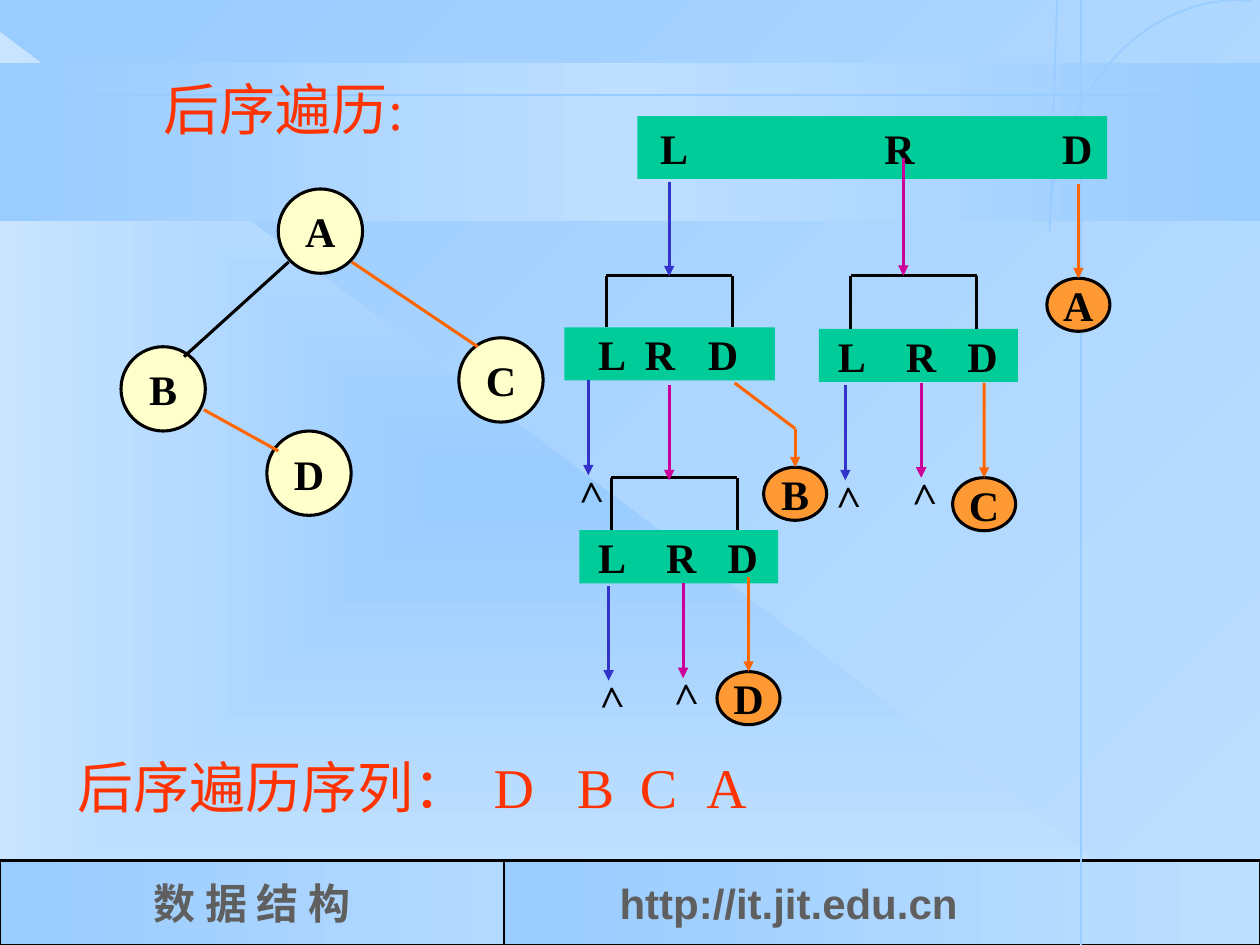
from pptx import Presentation
from pptx.dml.color import RGBColor
from pptx.enum.shapes import MSO_CONNECTOR, MSO_SHAPE
from pptx.enum.text import MSO_ANCHOR, PP_ALIGN
from pptx.oxml import parse_xml
from pptx.oxml.ns import nsdecls, qn
from pptx.util import Cm, Pt

BLACK = RGBColor(0x00, 0x00, 0x00)
GREY = RGBColor(0x5F, 0x5F, 0x5F)
SKY = RGBColor(0x99, 0xCC, 0xFF)
PALE = RGBColor(0xBE, 0xDF, 0xFF)
MIST = RGBColor(0xC8, 0xE4, 0xFF)
HAZE = RGBColor(0xB4, 0xD9, 0xFF)
CREAM = RGBColor(0xFF, 0xFF, 0xCC)
GREEN = RGBColor(0x00, 0xCC, 0x99)
AMBER = RGBColor(0xFF, 0x99, 0x33)
ORANGE = RGBColor(0xFF, 0x66, 0x00)
BLUE = RGBColor(0x33, 0x33, 0xCC)
PINK = RGBColor(0xCC, 0x00, 0x99)
RED = RGBColor(0xFF, 0x33, 0x00)

LABEL = {"name": "Times New Roman", "size": Pt(24), "bold": True}
HEAD = {"name": "Times New Roman", "size": Pt(32), "bold": False}
LINK = {"name": "Arial", "size": Pt(24), "bold": True}
LINEAR = '<a:lin {} ang="{}" scaled="0"/>'
CENTRED = ('<a:path {} path="rect"><a:fillToRect l="50000" t="50000" '
           'r="50000" b="50000"/></a:path>')


def curve(a, b, c, d, steps=24):
    for i in range(steps + 1):
        t = i / steps
        s = 1 - t
        yield tuple(s**3 * p + 3 * s * s * t * q + 3 * s * t * t * r + t**3 * u
                    for p, q, r, u in zip(a, b, c, d))


class Painter:
    def __init__(self, slide):
        self.slide = slide
        self.shapes = slide.shapes
        self.weight = Pt(1.75)

    def blend(self, fill, node, tints, angle=0):
        fill.gradient()
        stops = "".join(
            f'<a:gs pos="{100000 * i // (len(tints) - 1)}"><a:srgbClr val="{tint}"/></a:gs>'
            for i, tint in enumerate(tints))
        ns = nsdecls("a")
        way = CENTRED.format(ns) if angle is None else LINEAR.format(ns, angle * 60000)
        grad = next(node.iter(qn("a:gradFill")))
        grad[:] = [parse_xml(f"<a:gsLst {ns}>{stops}</a:gsLst>"), parse_xml(way)]

    def letter(self, shape, text, style, tint, tabs=(), inset=0.25, **frame):
        body = shape.text_frame
        values = {"word_wrap": False, "vertical_anchor": MSO_ANCHOR.MIDDLE,
                  "margin_left": Cm(inset), "margin_right": Cm(0),
                  "margin_top": Cm(0.13), "margin_bottom": Cm(0.13)} | frame
        align = values.pop("align", PP_ALIGN.LEFT)
        if align == PP_ALIGN.CENTER:
            values["margin_right"] = Cm(inset)
        for key, value in values.items():
            setattr(body, key, value)
        para = body.paragraphs[0]
        para.alignment = align
        if tabs:
            marks = "".join(f'<a:tab pos="{Cm(tab)}" algn="l"/>' for tab in tabs)
            para._p.get_or_add_pPr().append(
                parse_xml(f'<a:tabLst {nsdecls("a")}>{marks}</a:tabLst>'))
        run = para.add_run()
        run.text = text
        for key, value in style.items():
            setattr(run.font, key, value)
        run.font.color.rgb = tint

    def shape(self, kind, x, y, w, h, fill, angle=0, line=None):
        shape = self.shapes.add_shape(kind, Cm(x), Cm(y), Cm(w), Cm(h))
        shape.shadow.inherit = False
        if isinstance(fill, list):
            self.blend(shape.fill, shape.element, fill, angle)
        else:
            shape.fill.solid()
            shape.fill.fore_color.rgb = fill
        if line:
            shape.line.color.rgb = BLACK
            shape.line.width = line
        else:
            shape.line.fill.background()
        return shape

    def line(self, x, y, right, low, tint=BLACK, weight=None, arrow=False):
        line = self.shapes.add_connector(
            MSO_CONNECTOR.STRAIGHT, Cm(x), Cm(y), Cm(right), Cm(low))
        line.line.color.rgb = tint
        line.line.width = weight or self.weight
        if arrow:
            line.element.spPr.find(qn("a:ln")).append(
                parse_xml(f'<a:tailEnd {nsdecls("a")} type="triangle"/>'))
        line.element.spPr.append(parse_xml(f'<a:effectLst {nsdecls("a")}/>'))
        return line

    def arc(self, points):
        start, *rest = [(Cm(x), Cm(y)) for x, y in points]
        build = self.shapes.build_freeform(*start)
        build.add_line_segments(rest, close=False)
        arc = build.convert_to_shape()
        arc.shadow.inherit = False
        arc.fill.background()
        arc.line.color.rgb = SKY
        arc.line.width = Pt(1)

    def oval(self, text, x, y, w, h, fill):
        oval = self.shape(MSO_SHAPE.OVAL, x, y, w, h, fill, line=self.weight)
        self.letter(oval, text, LABEL, BLACK, align=PP_ALIGN.CENTER)
        return oval

    def leaf(self, text, mid, top, start):
        oval = self.oval(text, mid - 0.635, top, 1.27, 1.07, AMBER)
        self.line(mid, start, mid, top, ORANGE, arrow=True).end_connect(oval, 0)

    def box(self, x, y, w, h, inset, tabs):
        box = self.shape(MSO_SHAPE.RECTANGLE, x, y, w, h, GREEN)
        self.letter(box, "L\tR\tD", LABEL, BLACK, tabs, inset, word_wrap=True)

    def fork(self, x, y, low):
        right = x + 2.54
        self.line(x, y, right, y)
        for side in (x, right):
            self.line(side, y, side, low)

    def drop(self, x, y, tint, size=1.91):
        self.line(x, y, x, y + size, tint, arrow=True)

    def text(self, x, y, w, h, text, style, tint, **more):
        box = self.shapes.add_textbox(Cm(x), Cm(y), Cm(w), Cm(h))
        self.letter(box, text, style, tint, vertical_anchor=MSO_ANCHOR.TOP, **more)
        return box

    def null(self, x, y, tint):
        self.drop(x, y, tint)
        mark = self.text(x - 0.53, y + 1.58, 1.07, 1.27, ">", LABEL, BLACK, word_wrap=True)
        mark.rotation = 268.3

    def title(self, x, y, w, h, text):
        title = self.shapes.title
        for key, value in {"left": x, "top": y, "width": w, "height": h}.items():
            setattr(title, key, Cm(value))
        title.element.getparent().append(title.element)
        self.letter(title, text, HEAD, RED, vertical_anchor=MSO_ANCHOR.TOP)


def main():
    deck = Presentation()
    deck.slide_width, deck.slide_height = Cm(25.4), Cm(19.05)
    slide = deck.slides.add_slide(deck.slide_layouts[5])
    pen = Painter(slide)

    pen.blend(slide.background.fill, slide.element, [SKY, PALE], 45)
    pen.shape(MSO_SHAPE.RIGHT_TRIANGLE, 0, 0.64, 24.33, 18.41, [SKY, MIST], None)
    pen.shape(MSO_SHAPE.RECTANGLE, 0, 1.27, 25.4, 3.18, [SKY, PALE, SKY])
    course = pen.shape(MSO_SHAPE.RECTANGLE, 0, 17.35, 10.16, 1.7, [SKY, HAZE], line=Pt(1.5))
    pen.letter(course, "数 据 结 构", LABEL, GREY, align=PP_ALIGN.CENTER)
    site = pen.shape(MSO_SHAPE.RECTANGLE, 10.16, 17.35, 15.24, 1.7, [SKY, PALE], line=Pt(1.5))
    pen.letter(site, "http://it.jit.edu.cn", LINK, GREY, inset=2.33, word_wrap=True)
    pen.line(0, 1.91, 25.4, 1.91, SKY, Pt(1))
    pen.line(21.79, 0, 21.79, 19.05, SKY, Pt(1.5))
    bend = curve((24.99, 0), (22.89, 0), (21.16, 2.08), (21.16, 4.67))
    pen.arc([(25.22, 0.03), *bend, (21.31, 0)])

    for text, x, y in [("A", 5.61, 3.81), ("D", 5.38, 8.69),
                       ("B", 2.44, 6.99), ("C", 9.25, 6.81)]:
        pen.oval(text, x, y, 1.7, 1.7, CREAM)
    pen.line(5.82, 5.28, 3.71, 7.19)
    pen.line(7.09, 5.28, 9.63, 6.99, ORANGE)
    pen.line(4.11, 8.26, 5.61, 9.09, ORANGE)

    pen.box(12.85, 2.34, 9.47, 1.27, 0.46, (4.52, 8.1))
    pen.box(11.38, 6.6, 4.24, 1.07, 0.68, (0.94, 2.21))
    for x, y in [(16.51, 6.63), (11.68, 10.69)]:
        pen.box(x, y, 4.01, 1.07, 0.38, (1.37, 2.61))
    for x, y, low in [(12.22, 5.56, 6.6), (17.15, 5.56, 6.63), (12.32, 9.63, 10.69)]:
        pen.fork(x, y, low)

    pen.drop(13.49, 3.66, BLUE)
    pen.drop(13.49, 7.77, PINK)
    pen.drop(18.21, 3.18, PINK, 2.38)
    for x, y, tint in [(11.86, 7.67, BLUE), (12.27, 11.81, BLUE), (17.04, 7.77, BLUE),
                       (13.77, 11.76, PINK), (18.57, 7.72, PINK)]:
        pen.null(x, y, tint)
    for text, mid, top, start in [("A", 21.74, 5.61, 3.71), ("D", 15.09, 13.54, 11.63),
                                  ("C", 19.84, 9.63, 7.72), ("B", 16.03, 9.42, 8.64)]:
        pen.leaf(text, mid, top, start)
    pen.line(14.81, 7.72, 16.03, 8.64, ORANGE)

    pen.text(1.32, 15.04, 14.05, 1.63, "后序遍历序列：\tD\tB\tC\tA", HEAD, RED,
             tabs=(8.38, 10.06, 11.33, 12.67), word_wrap=True)
    pen.title(3.05, 1.37, 5.61, 1.63, "后序遍历:")
    deck.save("out.pptx")


if __name__ == "__main__":
    main()
